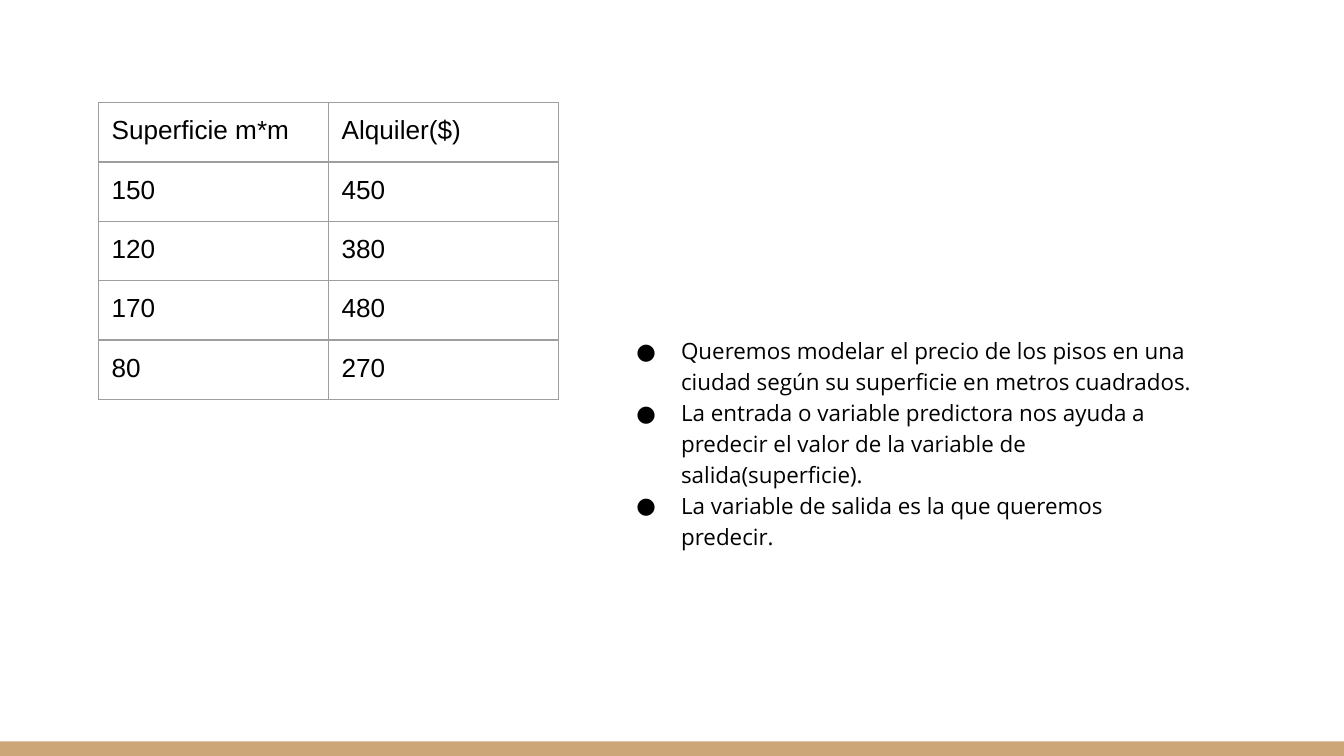
from typing import NamedTuple

from lxml import etree
from pptx import Presentation
from pptx.dml.color import RGBColor
from pptx.enum.shapes import MSO_SHAPE
from pptx.enum.text import MSO_ANCHOR
from pptx.oxml.ns import qn
from pptx.util import Pt

RECTANGLE = MSO_SHAPE.RECTANGLE
TOP = MSO_ANCHOR.TOP

COLORS = {"text": "000000", "border": "9E9E9E", "footer": "CCA677"}
SLIDE_WIDTH, SLIDE_HEIGHT = 720, 405
FOOTER_HEIGHT = 7.8
COLUMN_WIDTH, ROW_HEIGHT = 123.2, 31.8
INSET = Pt(7.2)

MARGINS = {
    "margin_left": INSET,
    "margin_top": INSET,
    "margin_right": INSET,
    "margin_bottom": INSET,
}
CELL_FORMAT = {**MARGINS, "vertical_anchor": TOP}
FRAME_FORMAT = {**MARGINS, "vertical_anchor": TOP, "word_wrap": True}
TABLE_FORMAT = {"first_row": False, "horz_banding": False}
TABLE_FONT = {"name": "Arial", "size": Pt(14), "bold": False}
NOTES_FONT = {"name": "Open Sans", "size": Pt(12)}


class Box(NamedTuple):
    left: float
    top: float
    width: float
    height: float

    def lengths(self) -> list:
        return [Pt(value) for value in self]


class Rental(NamedTuple):
    surface: str
    rent: str


RENTALS = [
    Rental("Superficie m*m", "Alquiler($)"),
    Rental("150", "450"),
    Rental("120", "380"),
    Rental("170", "480"),
    Rental("80", "270"),
]
NOTES = [
    "Queremos modelar el precio de los pisos en una ciudad según su superficie en metros cuadrados.",
    "La entrada o variable predictora nos ayuda a predecir el valor de la variable de salida(superficie).",
    "La variable de salida es la que queremos predecir.",
]


def apply_format(target, values: dict) -> None:
    for name, value in values.items():
        setattr(target, name, value)


def add_solid_color(parent, color: str) -> None:
    etree.SubElement(parent, qn("a:srgbClr"), val=color)


def write_run(paragraph, text: str, font_format: dict) -> None:
    run = paragraph.add_run()
    run.text = text
    apply_format(run.font, font_format)
    run.font.color.rgb = RGBColor.from_string(COLORS["text"])


def add_borders(cell) -> None:
    properties = cell._tc.get_or_add_tcPr()
    for side in ("lnL", "lnR", "lnT", "lnB"):
        line = etree.SubElement(properties, qn(f"a:{side}"), w=str(Pt(0.75)))
        add_solid_color(etree.SubElement(line, qn("a:solidFill")), COLORS["border"])


def add_bullet(paragraph) -> None:
    properties = paragraph._p.get_or_add_pPr()
    properties.set("marL", str(Pt(36)))
    properties.set("indent", str(Pt(-24)))
    add_solid_color(etree.SubElement(properties, qn("a:buClr")), COLORS["text"])
    etree.SubElement(properties, qn("a:buFont"), typeface="Open Sans")
    etree.SubElement(properties, qn("a:buChar"), char="●")


def add_footer(slide, box: Box) -> None:
    footer = slide.shapes.add_shape(RECTANGLE, *box.lengths())
    footer.shadow.inherit = False
    footer.fill.solid()
    footer.fill.fore_color.rgb = RGBColor.from_string(COLORS["footer"])
    footer.line.fill.background()


def add_notes(slide, box: Box, notes: list[str]) -> None:
    frame = slide.shapes.add_textbox(*box.lengths()).text_frame
    apply_format(frame, FRAME_FORMAT)
    for index, note in enumerate(notes):
        paragraph = frame.add_paragraph() if index else frame.paragraphs[0]
        paragraph.line_spacing = 1.15
        add_bullet(paragraph)
        write_run(paragraph, note, NOTES_FONT)


def add_rentals(slide, left: float, top: float, rentals: list[Rental]) -> None:
    columns = len(Rental._fields)
    box = Box(left, top, columns * COLUMN_WIDTH, len(rentals) * ROW_HEIGHT)
    table = slide.shapes.add_table(len(rentals), columns, *box.lengths()).table
    apply_format(table, TABLE_FORMAT)
    for row, rental in enumerate(rentals):
        for column, value in enumerate(rental):
            cell = table.cell(row, column)
            apply_format(cell, CELL_FORMAT)
            add_borders(cell)
            cell.fill.background()
            write_run(cell.text_frame.paragraphs[0], value, TABLE_FONT)


def main() -> None:
    presentation = Presentation()
    presentation.slide_width = Pt(SLIDE_WIDTH)
    presentation.slide_height = Pt(SLIDE_HEIGHT)
    slide = presentation.slides.add_slide(presentation.slide_layouts[6])
    add_footer(slide, Box(0, SLIDE_HEIGHT - FOOTER_HEIGHT, SLIDE_WIDTH, FOOTER_HEIGHT))
    add_notes(slide, Box(321.8, 171.4, 325.4, 171.4), NOTES)
    add_rentals(slide, 52.6, 55, RENTALS)
    presentation.save("out.pptx")


if __name__ == "__main__":
    main()
